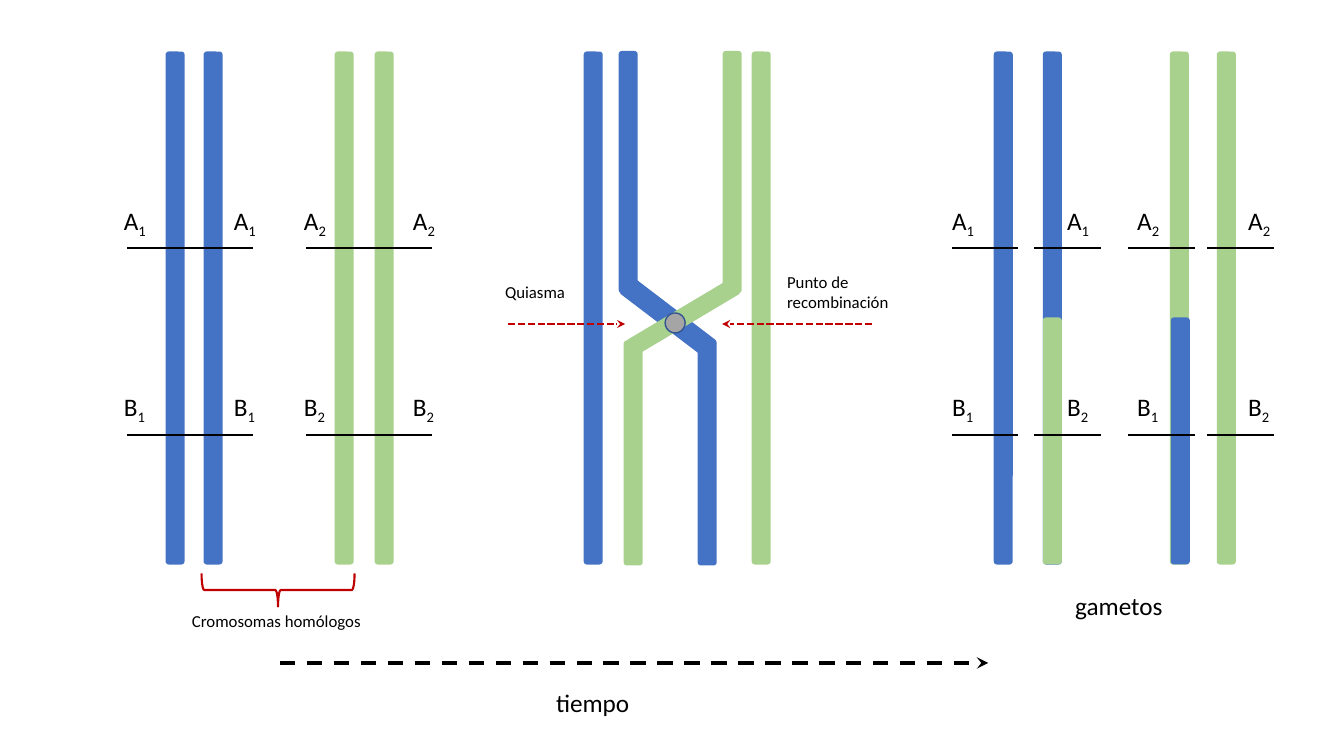
from lxml import etree
from pptx import Presentation
from pptx import util as u
from pptx.dml.color import RGBColor
from pptx.enum import dml, shapes, text
from pptx.oxml.ns import qn

PIXEL = 914400 / 100.8
THEME = {
    "blue": "4472C4", "green": "A9D18E", "grey": "A5A5A5", "outline": "325491",
    "black": "000000", "red": "C00000",
    "font": "Calibri", "label": 18, "caption": 12,
}

# Chromatids, back to front: centre x, centre y, length, thickness, angle, colour
FULL = (308, 513, 19, 90)
UPPER = (172, 242, 19, 90)
LOWER = (453, 225, 19, 90)
SWAPPED = (441, 247, 19, 90)
CHROMATIDS = [
    (175, *FULL, "blue"), (213, *FULL, "blue"),
    (344, *FULL, "green"), (384, *FULL, "green"),
    (593, *FULL, "blue"), (628, *UPPER, "blue"),
    (732, *UPPER, "green"), (761, *FULL, "green"),
    (707, *LOWER, "blue"),
    (1003, *FULL, "blue"), (1052, *FULL, "blue"),
    (1179, *FULL, "green"), (1226, *FULL, "green"),
    (668, 317, 109, 21, 37.3, "blue"),
    (633, *LOWER, "green"),
    (683, 317, 124, 18, 149.2, "green"),
    (1052, *SWAPPED, "green"), (1180, *SWAPPED, "blue"),
]

# Each locus: name, label top, line y, allele numbers from left to right
LOCI = [("A", 200, 248, "11221122"), ("B", 386, 435, "11221212")]
ALLELE_LEFTS = [114, 224, 294, 403, 942, 1057, 1127, 1238]
LOCUS_SPANS = [(127, 253), (306, 432), (952, 1018),
               (1034, 1101), (1128, 1195), (1207, 1274)]

# Arrows: from x, to x, y, colour, width, dash
ARROWS = [
    (280, 988, 663, "black", 2.75, dml.MSO_LINE.DASH),
    (508, 625, 324, "red", 1.75, dml.MSO_LINE.SQUARE_DOT),
    (872, 722, 324, "red", 1.75, dml.MSO_LINE.SQUARE_DOT),
]

# Captions: words, left, top, width, height, type size, wrapped
CAPTIONS = [
    ("tiempo", 546, 682, 95, 40, "label", False),
    ("gametos", 1065, 585, 109, 40, "label", False),
    ("Quiasma", 495, 277, 137, 30, "caption", True),
    ("Punto de recombinación", 777, 267, 137, 50, "caption", True),
    ("Cromosomas homólogos", 182, 606, 196, 30, "caption", False),
]


def px(*lengths):
    """Turn pixels into EMU."""
    return [u.Emu(round(length * PIXEL)) for length in lengths]


def colour(name):
    """Return a theme colour."""
    return RGBColor.from_string(THEME[name])


def set_all(target, **values):
    """Set several attributes on one object."""
    for name, value in values.items():
        setattr(target, name, value)


def style_line(line, name, width):
    """Give a line its colour and width."""
    line.color.rgb = colour(name)
    line.width = u.Pt(width)


def add_shape(page, kind, centre_x, centre_y, width, height,
              angle=0, fill=None, line=None):
    """Add a preset shape placed by its centre."""
    shape = page.shapes.add_shape(
        kind, *px(centre_x - width / 2, centre_y - height / 2, width, height))
    shape.rotation = angle
    shape.shadow.inherit = False
    if fill:
        shape.fill.solid()
        shape.fill.fore_color.rgb = colour(fill)
    else:
        shape.fill.background()
    if line:
        style_line(shape.line, *line)
    else:
        shape.line.fill.background()


def add_line(page, start_x, end_x, y, name="black", width=1.5, dash=None):
    """Add a horizontal line; a dashed one ends in an arrowhead."""
    line = page.shapes.add_connector(
        shapes.MSO_CONNECTOR.STRAIGHT, *px(start_x, y, end_x, y))
    style_line(line.line, name, width)
    if dash:
        line.line.dash_style = dash
        etree.SubElement(line.line._get_or_add_ln(), qn("a:tailEnd"), type="stealth")
    etree.SubElement(line._element.spPr, qn("a:effectLst"))


def add_text(page, words, left, top, width, height,
             size="label", wrap=False, subscript=""):
    """Add a text box, with an optional subscript after the words."""
    box = page.shapes.add_textbox(*px(left, top, width, height))
    set_all(box.text_frame, word_wrap=wrap,
            auto_size=text.MSO_AUTO_SIZE.SHAPE_TO_FIT_TEXT)
    para = box.text_frame.paragraphs[0]
    for part in filter(None, (words, subscript)):
        span = para.add_run()
        span.text = part
        set_all(span.font, name=THEME["font"], size=u.Pt(THEME[size]))
        span.font.color.rgb = colour("black")
    if subscript:
        span._r.get_or_add_rPr().set("baseline", "-25000")


def build():
    """Build the recombination slide and save the deck."""
    deck = Presentation()
    set_all(deck, slide_width=u.Inches(13.33), slide_height=u.Inches(7.5))
    page = deck.slides.add_slide(deck.slide_layouts[6])
    preset = shapes.MSO_SHAPE
    for *place, fill in CHROMATIDS:
        add_shape(page, preset.ROUNDED_RECTANGLE, *place, fill=fill)
    for locus, label_top, line_y, alleles in LOCI:
        for start_x, end_x in LOCUS_SPANS:
            add_line(page, start_x, end_x, line_y)
        for left, allele in zip(ALLELE_LEFTS, alleles):
            add_text(page, locus, left, label_top, 43, 40, subscript=allele)
    for arrow in ARROWS:
        add_line(page, *arrow)
    for caption in CAPTIONS:
        add_text(page, *caption)
    add_shape(page, preset.OVAL, 675, 323, 20, 20, fill="grey", line=("outline", 1))
    add_shape(page, preset.LEFT_BRACE, 278, 590, 33, 153, 270, line=("red", 1.5))
    deck.save("out.pptx")


build()
